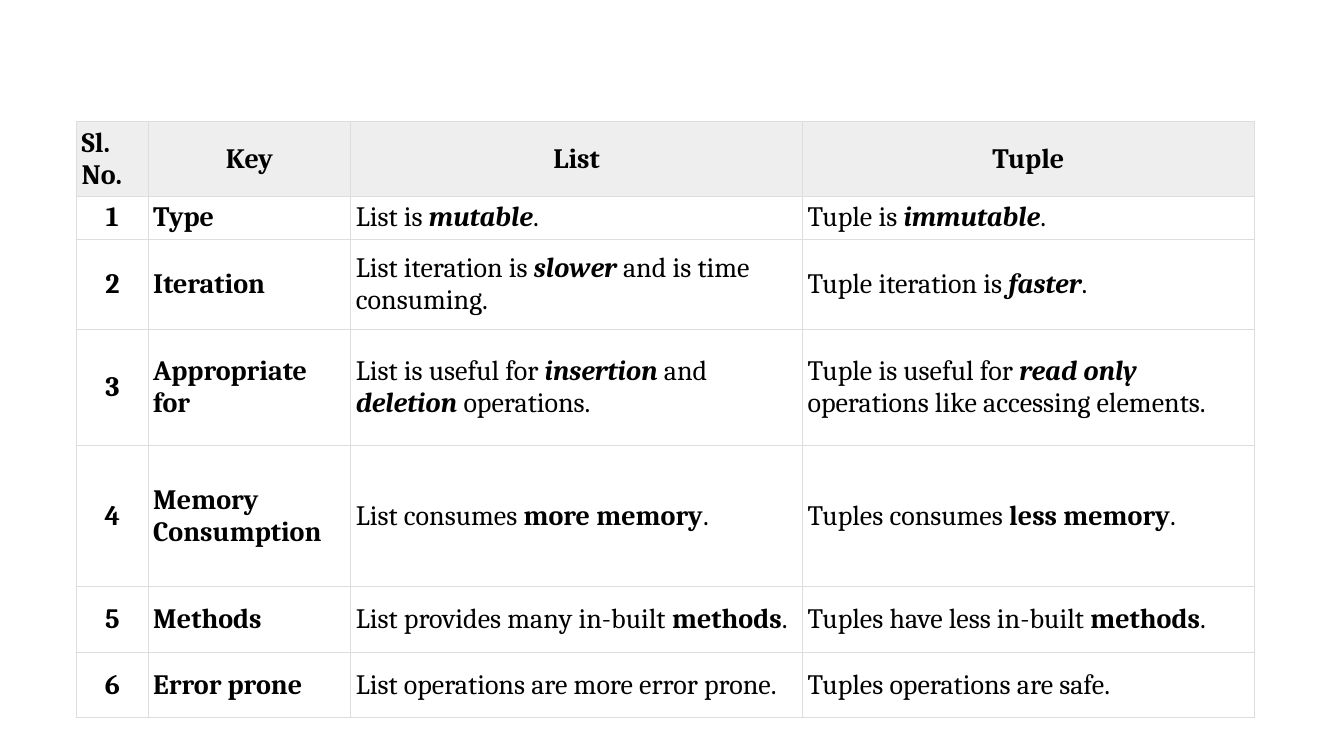
import pptx
import pptx.dml.color
import pptx.enum.text
import pptx.oxml
import pptx.oxml.ns
import pptx.util
from pptx.util import Inches

HEADINGS = ["Sl. No.", "Key", "List", "Tuple"]
# Each body cell is a list of (text, style); b is bold, i is italic.
COMPARISON = [
    ("Type",
     [("List is ", ""), ("mutable", "bi"), (".", "")],
     [("Tuple is ", ""), ("immutable", "bi"), (".", "")]),
    ("Iteration",
     [("List iteration is ", ""), ("slower", "bi"), (" and is time consuming.", "")],
     [("Tuple iteration is ", ""), ("faster", "bi"), (".", "")]),
    ("Appropriate for",
     [("List is useful for ", ""), ("insertion", "bi"), (" and ", ""),
      ("deletion", "bi"), (" operations.", "")],
     [("Tuple is useful for ", ""), ("read only ", "bi"),
      ("operations like accessing elements.", "")]),
    ("Memory Consumption",
     [("List consumes ", ""), ("more memory", "b"), (".", "")],
     [("Tuples consumes ", ""), ("less memory", "b"), (".", "")]),
    ("Methods",
     [("List provides many in-built ", ""), ("methods", "b"), (".", "")],
     [("Tuples have less in-built ", ""), ("methods", "b"), (".", "")]),
    ("Error prone",
     [("List operations are more error prone.", "")],
     [("Tuples operations are safe.", "")]),
]
LEFT, TOP = 0.76, 1.21
COLUMN_WIDTHS = [0.71, 2.01, 4.48, 4.48]
ROW_HEIGHTS = [0.65, 0.39, 0.9, 1.15, 1.4, 0.65, 0.65]
CELL_MARGIN = 0.05
THEME = {"font": "Cambria", "size": 20, "text": "000000",
         "header": "EEEEEE", "border": "DDDDDD", "border_width": 0.75}


def draw_borders(cell):
    properties = cell._tc.get_or_add_tcPr()
    width = pptx.util.Pt(THEME["border_width"])
    for position, side in enumerate(("lnL", "lnR", "lnT", "lnB")):
        line = pptx.oxml.parse_xml(
            f'<a:{side} {pptx.oxml.ns.nsdecls("a")} w="{int(width)}"><a:solidFill>'
            f'<a:srgbClr val="{THEME["border"]}"/></a:solidFill></a:{side}>')
        properties.insert(position, line)


def fill_cell(cell, spans, centred, middle, header):
    cell.margin_left = cell.margin_right = Inches(CELL_MARGIN)
    cell.margin_top = cell.margin_bottom = Inches(CELL_MARGIN)
    anchors = pptx.enum.text.MSO_ANCHOR
    cell.vertical_anchor = anchors.MIDDLE if middle else anchors.TOP
    if header:
        cell.fill.solid()
        cell.fill.fore_color.rgb = pptx.dml.color.RGBColor.from_string(THEME["header"])
    else:
        cell.fill.background()
    draw_borders(cell)

    para = cell.text_frame.paragraphs[0]
    aligns = pptx.enum.text.PP_ALIGN
    para.alignment = aligns.CENTER if centred else aligns.LEFT
    for text, style in spans:
        span = para.add_run()
        span.text = text
        span.font.name = THEME["font"]
        span.font.size = pptx.util.Pt(THEME["size"])
        span.font.color.rgb = pptx.dml.color.RGBColor.from_string(THEME["text"])
        span.font.bold = "b" in style
        span.font.italic = "i" in style


def main():
    deck = pptx.Presentation()
    deck.slide_width, deck.slide_height = Inches(13.33), Inches(7.5)
    page = deck.slides.add_slide(deck.slide_layouts[6])

    rows = [[[(heading, "b")] for heading in HEADINGS]]
    for number, (key, about_list, about_tuple) in enumerate(COMPARISON, 1):
        rows.append([[(str(number), "b")], [(key, "b")], about_list, about_tuple])

    table = page.shapes.add_table(
        len(rows), len(HEADINGS), Inches(LEFT), Inches(TOP),
        Inches(sum(COLUMN_WIDTHS)), Inches(sum(ROW_HEIGHTS))).table
    table.first_row = table.horz_banding = False
    for column, width in zip(table.columns, COLUMN_WIDTHS):
        column.width = Inches(width)
    for row, height in zip(table.rows, ROW_HEIGHTS):
        row.height = Inches(height)

    for r, row in enumerate(rows):
        for c, spans in enumerate(row):
            header = r == 0
            corner = header and c == 0
            centred = (header or c == 0) and not corner
            fill_cell(table.cell(r, c), spans, centred, not corner, header)

    deck.save("out.pptx")


if __name__ == "__main__":
    main()
